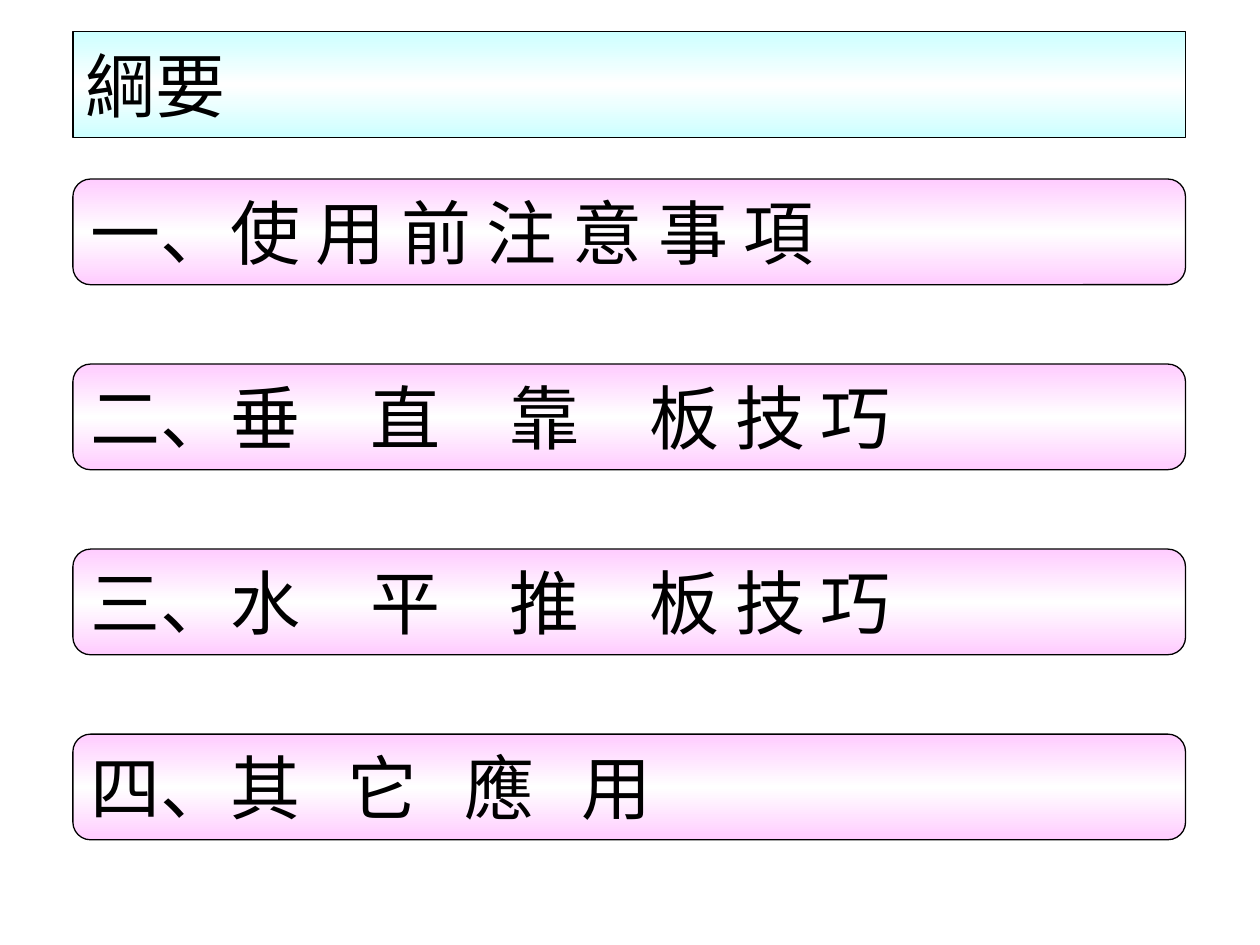
from copy import deepcopy
from dataclasses import dataclass

from lxml import etree
from pptx import Presentation
from pptx.dml.color import RGBColor
from pptx.enum.shapes import MSO_SHAPE
from pptx.enum.text import MSO_ANCHOR, MSO_AUTO_SIZE, PP_ALIGN
from pptx.oxml.ns import qn
from pptx.util import Cm, Pt

ROUNDED = MSO_SHAPE.ROUNDED_RECTANGLE
MIDDLE = MSO_ANCHOR.MIDDLE
NO_AUTOFIT = MSO_AUTO_SIZE.NONE
LEFT = PP_ALIGN.LEFT

BLACK = RGBColor(0x00, 0x00, 0x00)
WHITE = RGBColor(0xFF, 0xFF, 0xFF)
CYAN = RGBColor(0xCC, 0xFF, 0xFF)
PINK = RGBColor(0xFF, 0xCC, 0xFF)

BAR_LEFT, BAR_WIDTH, BAR_HEIGHT = Cm(1.47), Cm(22.43), Cm(2.13)
TITLE_TOP = Cm(0.64)
FIRST_TOPIC_TOP, TOPIC_PITCH = Cm(3.61), Cm(3.73)

FRAME_FORMAT = {
    "margin_left": Cm(0.25), "margin_right": Cm(0.25),
    "margin_top": Cm(0.13), "margin_bottom": Cm(0.13),
    "vertical_anchor": MIDDLE, "auto_size": NO_AUTOFIT, "word_wrap": True,
}
FONT_FORMAT = {"name": "Times New Roman", "size": Pt(40)}


@dataclass(frozen=True)
class Topic:
    number: str
    heading: str
    letter_spacing: int = 0  # hundredths of a point


TOPICS = [
    Topic("一、", "使 用 前 注 意 事 項"),
    Topic("二、", "垂　直　靠　板 技 巧"),
    Topic("三、", "水　平　推　板 技 巧"),
    Topic("四、", "其 它 應 用", 900),
]


def set_format(target, values: dict) -> None:
    for attribute, value in values.items():
        setattr(target, attribute, value)


def style_bar(bar, edge_color: RGBColor) -> None:
    """Fill with an edge-white-edge vertical gradient and prepare the text frame."""
    bar.fill.gradient()
    bar.fill.gradient_angle = 270
    stop_list = bar._element.spPr.find(".//" + qn("a:gsLst"))
    stop_list.append(deepcopy(stop_list[0]))
    colors = (edge_color, WHITE, edge_color)
    for stop, color, position in zip(bar.fill.gradient_stops, colors, (0, 0.5, 1)):
        stop.color.rgb = color
        stop.position = position
    bar.line.color.rgb = BLACK
    bar.line.width = Pt(0.75)
    set_format(bar.text_frame, FRAME_FORMAT)
    bar.text_frame.paragraphs[0].alignment = LEFT


def add_text(bar, text: str, letter_spacing: int = 0) -> None:
    run = bar.text_frame.paragraphs[0].add_run()
    run.text = text
    set_format(run.font, FONT_FORMAT)
    run.font.color.rgb = BLACK
    if letter_spacing:
        run.font._element.set("spc", str(letter_spacing))


def add_title(slide, text: str) -> None:
    title = slide.shapes.title
    set_format(title, {"left": BAR_LEFT, "top": TITLE_TOP,
                       "width": BAR_WIDTH, "height": BAR_HEIGHT})
    geometry = etree.Element(qn("a:prstGeom"), prst="roundRect")
    etree.SubElement(geometry, qn("a:avLst"))
    title._element.spPr.insert(1, geometry)
    style_bar(title, CYAN)
    add_text(title, text)


def add_topic(slide, topic: Topic, top: int) -> None:
    bar = slide.shapes.add_shape(ROUNDED, BAR_LEFT, top, BAR_WIDTH, BAR_HEIGHT)
    bar.shadow.inherit = False
    style_bar(bar, PINK)
    add_text(bar, topic.number)
    add_text(bar, topic.heading, topic.letter_spacing)


def main() -> None:
    presentation = Presentation()
    presentation.slide_width, presentation.slide_height = Cm(25.4), Cm(19.05)
    slide = presentation.slides.add_slide(
        presentation.slide_layouts.get_by_name("Title Only"))
    add_title(slide, "綱要")
    for index, topic in enumerate(TOPICS):
        add_topic(slide, topic, FIRST_TOPIC_TOP + index * TOPIC_PITCH)
    presentation.save("out.pptx")


if __name__ == "__main__":
    main()
